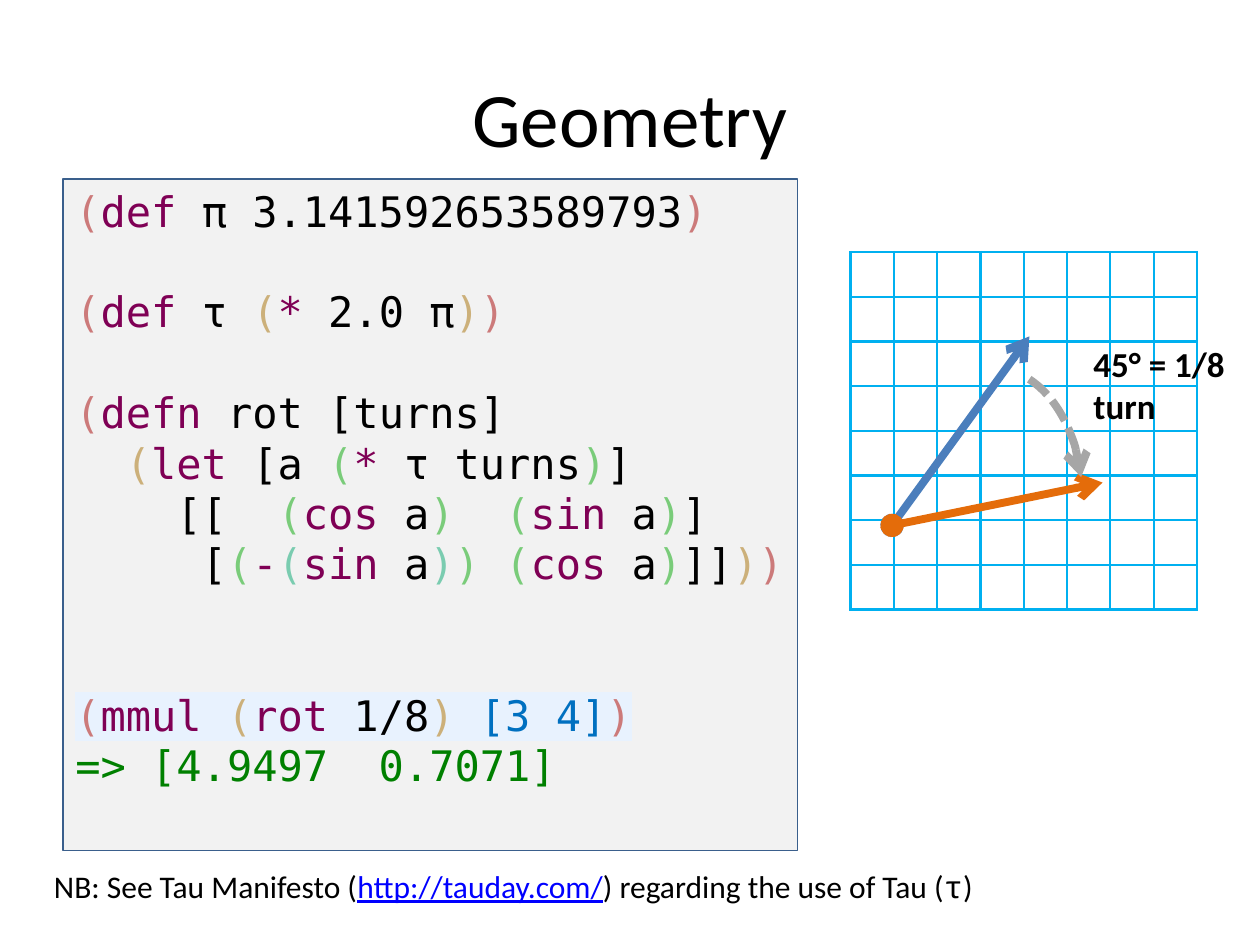
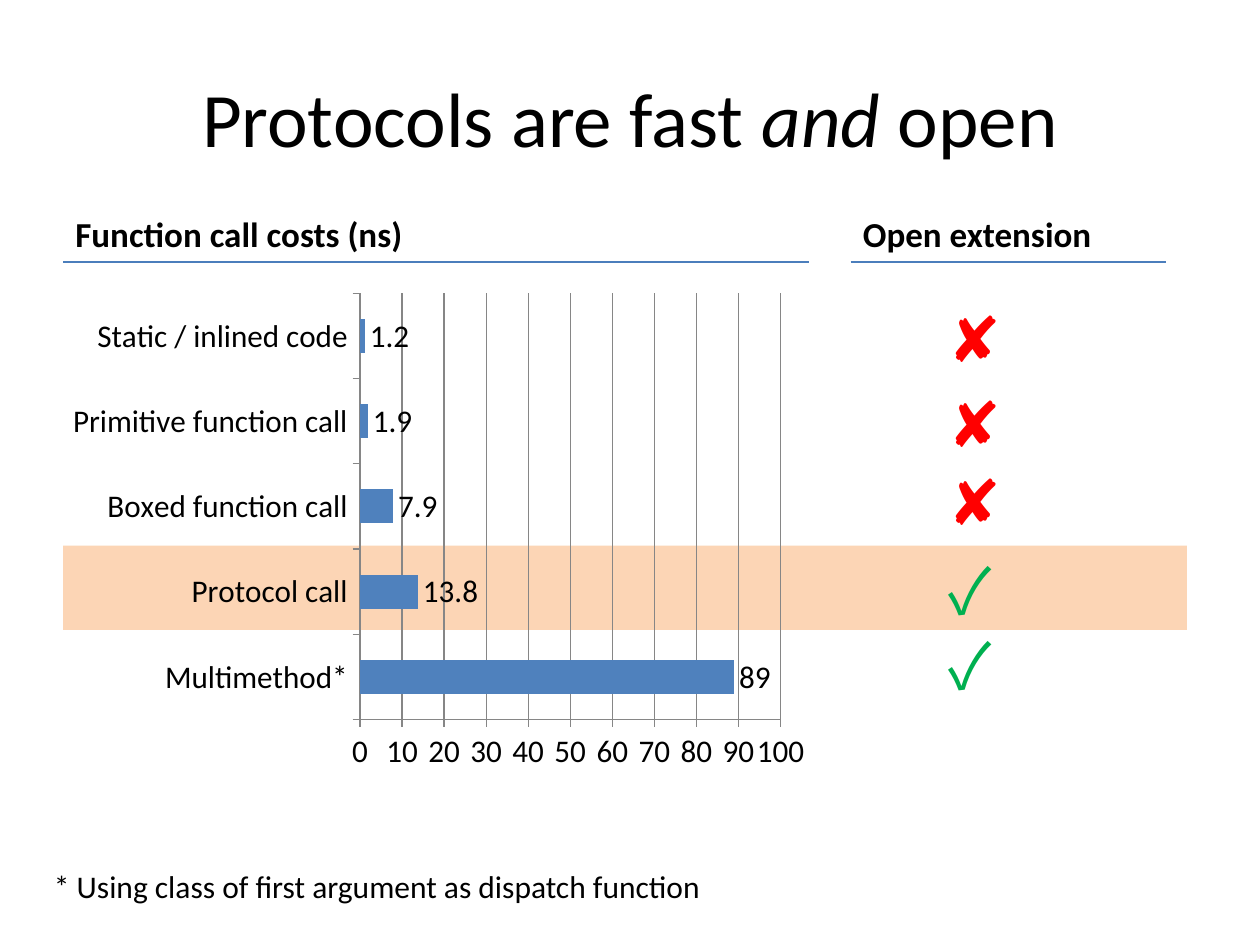
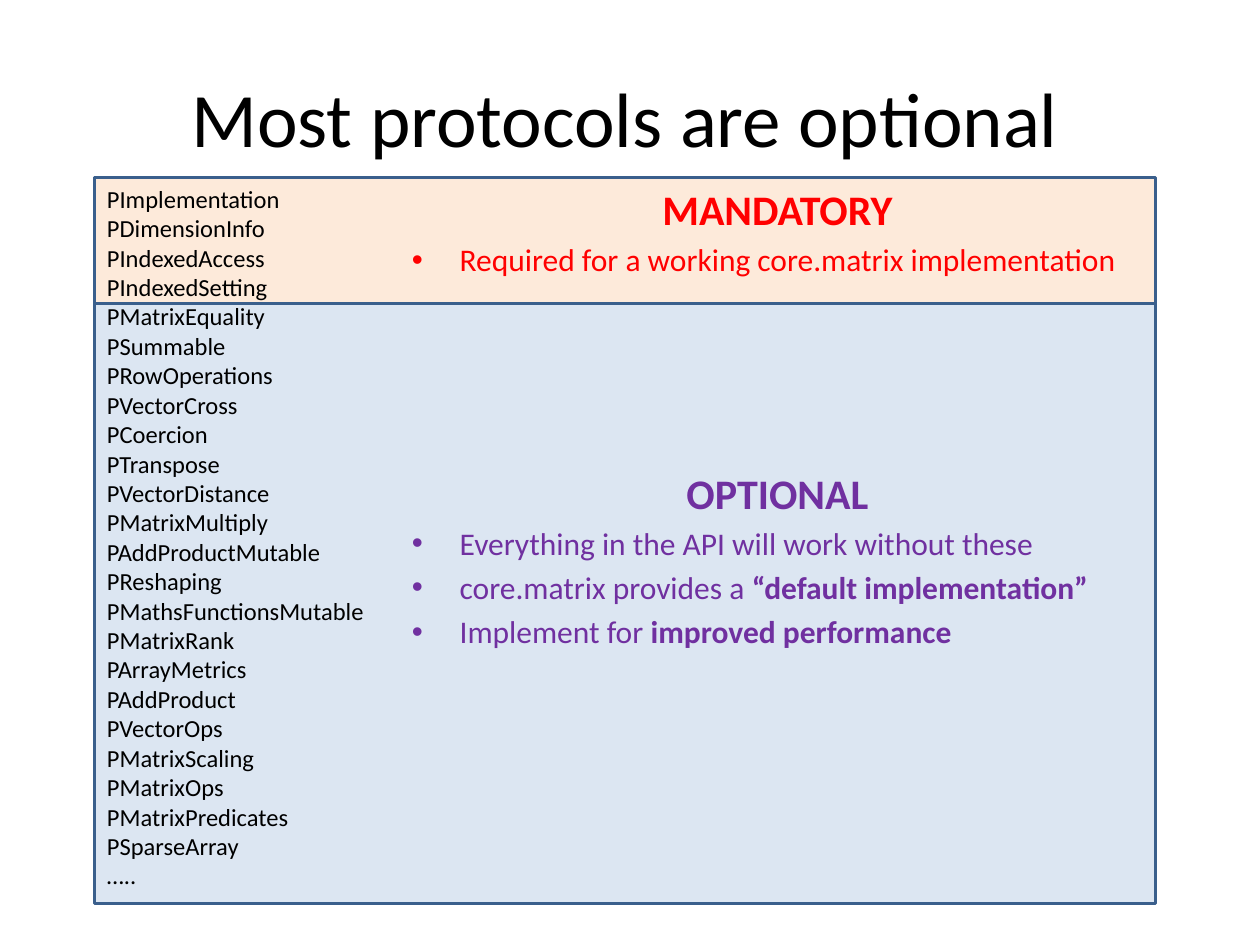
from dataclasses import dataclass
from itertools import groupby
from typing import Iterator, NamedTuple, Optional

from lxml.etree import SubElement
from pptx import Presentation
from pptx.chart.data import CategoryChartData
from pptx.dml.color import RGBColor
from pptx.enum.chart import XL_CHART_TYPE as ChartType, XL_LABEL_POSITION as LabelPosition
from pptx.enum.chart import XL_TICK_MARK as TickMark
from pptx.enum.dml import MSO_LINE as Dash
from pptx.enum.shapes import MSO_CONNECTOR as Connector, MSO_SHAPE as Preset
from pptx.enum.text import MSO_ANCHOR as Anchor, PP_ALIGN as Align
from pptx.oxml.ns import qn
from pptx.util import Inches, Pt


@dataclass(frozen=True)
class Theme:
    font: str = "Calibri"
    code_font: str = "DejaVu Sans Mono"
    mark_font: str = "Noto Sans CJK JP"
    text: str = "000000"
    white: str = "FFFFFF"
    outline: str = "3A5F8C"
    line: str = "4B7EBC"
    bar: str = "4F81BD"
    axis: str = "868686"
    grid: str = "00B0F0"
    turned: str = "E46C0A"
    arc: str = "A6A6A6"
    code_fill: str = "F2F2F2"
    keyword: str = "7F0055"
    vector: str = "0070C0"
    result: str = "008000"
    highlight: str = "E8F2FE"
    parens: tuple[str, ...] = ("CC7A7A", "CCB07A", "7ACC7A", "7ACCB0")
    link: str = "0000FF"
    band: str = "FCD5B5"
    yes: str = "00B050"
    no: str = "FF0000"
    mandatory: str = "FF0000"
    mandatory_fill: str = "FDEADA"
    optional: str = "7030A0"
    optional_fill: str = "DCE6F2"
    title_size: int = 44
    mark_size: int = 36
    heading_size: int = 24
    label_size: int = 20
    body_size: int = 18
    list_size: int = 14


THEME = Theme()


class Box(NamedTuple):
    left: float
    top: float
    width: float
    height: float

    def lengths(self) -> list[int]:
        return [Inches(value) for value in self]


class Point(NamedTuple):
    x: float
    y: float


@dataclass
class Run:
    text: str
    color: Optional[str] = None
    font: Optional[str] = None
    bold: Optional[bool] = None
    italic: Optional[bool] = None
    underline: Optional[bool] = None
    highlight: Optional[str] = None


@dataclass
class Line:
    runs: list[Run]
    size: float = THEME.body_size
    color: str = THEME.text
    font: str = THEME.font
    bold: bool = False
    align: Align = Align.LEFT
    bullet: bool = False
    space_before: float = 0


class CodeLine(NamedTuple):
    text: str
    blank_lines: int = 0
    called: bool = False


TITLE_BOX = Box(0.5, 0.3, 9, 1.25)

CODE = [
    CodeLine("(def π 3.141592653589793)"),
    CodeLine("(def τ (* 2.0 π))", 1),
    CodeLine("(defn rot [turns]", 1),
    CodeLine("  (let [a (* τ turns)]"),
    CodeLine("    [[  (cos a)  (sin a)]"),
    CodeLine("     [(-(sin a)) (cos a)]]))"),
    CodeLine("(mmul (rot 1/8) [3 4])", 2, True),
]

CALL_COSTS = {
    "Multimethod*": 89,
    "Protocol call": 13.8,
    "Boxed function call": 7.9,
    "Primitive function call": 1.9,
    "Static / inlined code": 1.2,
}

OPEN_MARKS = [(2.33, False), (3, False), (3.62, False), (4.33, True), (4.92, True)]

PROTOCOLS = """PImplementation PDimensionInfo PIndexedAccess PIndexedSetting PMatrixEquality
PSummable PRowOperations PVectorCross PCoercion PTranspose PVectorDistance PMatrixMultiply
PAddProductMutable PReshaping PMathsFunctionsMutable PMatrixRank PArrayMetrics PAddProduct
PVectorOps PMatrixScaling PMatrixOps PMatrixPredicates PSparseArray …..""".split()


def rgb(color: str) -> RGBColor:
    return RGBColor.from_string(color)


def add_run(paragraph, run: Run) -> None:
    text_run = paragraph.add_run()
    text_run.text = run.text
    font = text_run.font
    if run.color:
        font.color.rgb = rgb(run.color)
    if run.highlight:
        highlight = SubElement(font._element, qn("a:highlight"))
        SubElement(highlight, qn("a:srgbClr"), val=run.highlight)
    if run.font:
        font.name = run.font
    for name in ("bold", "italic", "underline"):
        value = getattr(run, name)
        if value is not None:
            setattr(font, name, value)


def write(frame, lines: list[Line], anchor: Anchor = Anchor.TOP) -> None:
    frame.word_wrap = True
    frame.vertical_anchor = anchor
    for index, line in enumerate(lines):
        paragraph = frame.add_paragraph() if index else frame.paragraphs[0]
        paragraph.alignment = line.align
        if line.space_before:
            paragraph.space_before = Pt(line.space_before)
        if line.bullet:
            properties = paragraph._p.get_or_add_pPr()
            properties.set("marL", str(Inches(0.38)))
            properties.set("indent", str(Inches(-0.38)))
            SubElement(properties, qn("a:buFont"), typeface="Arial")
            SubElement(properties, qn("a:buChar"), char="•")
        paragraph.font.size = Pt(line.size)
        paragraph.font.name = line.font
        paragraph.font.bold = line.bold
        paragraph.font.color.rgb = rgb(line.color)
        for run in line.runs:
            add_run(paragraph, run)


def add_text(slide, box: Box, lines: list[Line], anchor: Anchor = Anchor.TOP) -> None:
    write(slide.shapes.add_textbox(*box.lengths()).text_frame, lines, anchor)


def add_title(slide, runs: list[Run], box: Box = TITLE_BOX) -> None:
    add_text(slide, box, [Line(runs, THEME.title_size, align=Align.CENTER)], Anchor.MIDDLE)


def add_footnote(slide, runs: list[Run]) -> None:
    add_text(slide, Box(0.33, 6.83, 9.25, 0.4), [Line(runs)])


def add_label(slide, box: Box, text: str) -> None:
    add_text(slide, box, [Line([Run(text)], THEME.label_size, bold=True)])


def add_panel(slide, box: Box, fill: str, line_width: float = 0):
    shape = slide.shapes.add_shape(Preset.RECTANGLE, *box.lengths())
    shape.shadow.inherit = False
    shape.fill.solid()
    shape.fill.fore_color.rgb = rgb(fill)
    if line_width:
        shape.line.color.rgb = rgb(THEME.outline)
        shape.line.width = Pt(line_width)
    else:
        shape.line.fill.background()
    return shape


def style_line(shape, color: str, width: float, head: str = "", tail: str = "") -> None:
    shape.line.color.rgb = rgb(color)
    shape.line.width = Pt(width)
    outline = shape.line._get_or_add_ln()
    for tag, kind in (("a:headEnd", head), ("a:tailEnd", tail)):
        if kind:
            SubElement(outline, qn(tag), type=kind)


def add_line(slide, start: Point, end: Point, color: str, width: float,
             head: str = "", tail: str = "") -> None:
    ends = [Inches(value) for value in (*start, *end)]
    connector = slide.shapes.add_connector(Connector.STRAIGHT, *ends)
    style_line(connector, color, width, head, tail)
    SubElement(connector._element.spPr, qn("a:effectLst"))


def add_turn_arc(slide, box: Box) -> None:
    arc = slide.shapes.add_shape(Preset.ARC, *box.lengths())
    arc.shadow.inherit = False
    arc.adjustments[0] = 172.13
    arc.adjustments[1] = 207.65
    arc.fill.background()
    arc.line.dash_style = Dash.SQUARE_DOT
    style_line(arc, THEME.arc, 4.5, tail="arrow")


def add_grid(slide, box: Box, count: int) -> None:
    table = slide.shapes.add_table(count, count, *box.lengths()).table
    table.first_row = table.horz_banding = False
    for column in table.columns:
        column.width = Inches(box.width / count)
    for row in table.rows:
        row.height = Inches(box.height / count)
    for cell in table.iter_cells():
        cell.margin_top = cell.margin_bottom = 0
        properties = cell._tc.get_or_add_tcPr()
        for side in "LRTB":
            border = SubElement(properties, qn(f"a:ln{side}"), w=str(Pt(1.5)))
            fill = SubElement(border, qn("a:solidFill"))
            SubElement(fill, qn("a:srgbClr"), val=THEME.grid)
        cell.fill.solid()
        cell.fill.fore_color.rgb = rgb(THEME.white)


def color_characters(text: str, depth: int, vector_color: str) -> Iterator[tuple[str, str]]:
    in_head = False
    brackets = 0
    for character in text:
        if character == "(":
            yield character, THEME.parens[depth]
            depth += 1
            in_head = True
            continue
        if character == ")":
            depth -= 1
            yield character, THEME.parens[depth]
            in_head = False
            continue
        in_head = in_head and character != " "
        brackets += character == "["
        plain = vector_color if brackets else THEME.text
        brackets -= character == "]"
        yield character, THEME.keyword if in_head else plain


def code_lines() -> list[Line]:
    lines = []
    depth = 0
    for code in CODE:
        vector_color = THEME.vector if code.called else THEME.text
        highlight = THEME.highlight if code.called else None
        colored = color_characters(code.text, depth, vector_color)
        runs = [Run("".join(character for character, _ in group), color, highlight=highlight)
                for color, group in groupby(colored, key=lambda pair: pair[1])]
        depth += code.text.count("(") - code.text.count(")")
        lines.append(Line(runs, THEME.heading_size, font=THEME.code_font,
                          space_before=code.blank_lines * THEME.heading_size * 1.2))
    lines.append(Line([Run("=> [4.9497  0.7071]")], THEME.heading_size, THEME.result,
                      THEME.code_font))
    return lines


def add_cost_chart(slide, box: Box) -> None:
    data = CategoryChartData()
    data.categories = list(CALL_COSTS)
    data.add_series("Series 1", list(CALL_COSTS.values()))
    chart = slide.shapes.add_chart(ChartType.BAR_CLUSTERED, *box.lengths(), data).chart
    chart.has_legend = chart.has_title = False
    chart.font.size = Pt(THEME.body_size)
    chart.font.name = THEME.font
    chart.font.color.rgb = rgb(THEME.text)

    plot = chart.plots[0]
    plot.gap_width = 150
    plot.vary_by_categories = False
    plot.has_data_labels = True
    plot.data_labels.show_value = True
    plot.data_labels.position = LabelPosition.OUTSIDE_END
    bars = plot.series[0].format.fill
    bars.solid()
    bars.fore_color.rgb = rgb(THEME.bar)

    values = chart.value_axis
    values.minimum_scale, values.maximum_scale, values.major_unit = 0, 100, 10
    values.has_major_gridlines = True
    chart.category_axis.has_major_gridlines = False
    for axis in (values, chart.category_axis):
        axis.major_tick_mark = TickMark.OUTSIDE
        axis.minor_tick_mark = TickMark.NONE
    for item in (values, chart.category_axis, values.major_gridlines):
        item.format.line.color.rgb = rgb(THEME.axis)
        item.format.line.width = Pt(0.75)

    space = chart.element
    space_fill = SubElement(space, qn("c:spPr"))
    space.find(qn("c:txPr")).addprevious(space_fill)
    plot_fill = SubElement(space.find(qn("c:chart")).find(qn("c:plotArea")), qn("c:spPr"))
    for properties in (space_fill, plot_fill):
        SubElement(properties, qn("a:noFill"))
        SubElement(SubElement(properties, qn("a:ln")), qn("a:noFill"))


def add_explanation(slide, box: Box, heading: str, color: str, points: list[list[Run]]) -> None:
    lines = [Line([Run(heading)], THEME.heading_size, color, bold=True, align=Align.CENTER)]
    lines += [Line(runs, color=color, bullet=True, space_before=THEME.body_size * 0.2)
              for runs in points]
    add_text(slide, box, lines)


def build_geometry(slide) -> None:
    add_title(slide, [Run("Geometry")])
    add_grid(slide, Box(6.75, 2, 2.75, 2.84), 8)
    origin = Point(7.08, 4.17)
    for tip, color in ((Point(8.17, 2.67), THEME.line), (Point(8.75, 3.83), THEME.turned)):
        add_line(slide, origin, tip, color, 4.5, "oval", "arrow")
    add_turn_arc(slide, Box(7.17, 2.92, 1.42, 2.08))
    code_panel = add_panel(slide, Box(0.5, 1.42, 5.83, 5.33), THEME.code_fill, 1)
    write(code_panel.text_frame, code_lines())
    add_footnote(slide, [
        Run("NB: See Tau Manifesto ("),
        Run("http://tauday.com/", THEME.link, underline=True),
        Run(") regarding the use of Tau ("),
        Run("τ", font="Courier New"),
        Run(")"),
    ])
    add_label(slide, Box(8.58, 2.67, 1.25, 0.77), "45° = 1/8 turn")


def build_costs(slide) -> None:
    add_panel(slide, Box(0.5, 4.33, 8.92, 0.67), THEME.band)
    add_title(slide, [Run("Protocols are fast "), Run("and", italic=True), Run(" open")])
    add_cost_chart(slide, Box(0.58, 2.25, 5.92, 3.94))
    for left, width, heading in ((0.5, 5.92, "Function call costs (ns)"),
                                 (6.75, 2.5, "Open extension")):
        add_label(slide, Box(left, 1.64, width, 0.44), heading)
        add_line(slide, Point(left, 2.08), Point(left + width, 2.08), THEME.line, 0.75)
    for top, is_open in OPEN_MARKS:
        mark, color = ("✓", THEME.yes) if is_open else ("✘", THEME.no)
        add_text(slide, Box(7.43, top, 0.62, 0.71),
                 [Line([Run(mark)], THEME.mark_size, color, THEME.mark_font)])
    add_footnote(slide, [Run("* Using class of first argument as dispatch function")])


def build_protocols(slide) -> None:
    add_panel(slide, Box(0.75, 2.41, 8.42, 4.76), THEME.optional_fill, 2)
    add_panel(slide, Box(0.75, 1.41, 8.42, 1), THEME.mandatory_fill, 2)
    add_title(slide, [Run("Most protocols are optional")], Box(0.25, 0.3, 9.42, 1.25))
    add_text(slide, Box(0.75, 1.41, 2.75, 5.76),
             [Line([Run(name)], THEME.list_size) for name in PROTOCOLS])
    add_explanation(slide, Box(3.17, 1.41, 6, 1), "MANDATORY", THEME.mandatory, [
        [Run("Required for a working core.matrix implementation")],
    ])
    add_explanation(slide, Box(3.17, 3.66, 6, 2.83), "OPTIONAL", THEME.optional, [
        [Run("Everything in the API will work without these")],
        [Run("core.matrix provides a "), Run("“default implementation”", bold=True)],
        [Run("Implement for "), Run("improved performance", bold=True)],
    ])


def main() -> None:
    presentation = Presentation()
    presentation.slide_width = Inches(10)
    presentation.slide_height = Inches(7.5)
    for build in (build_geometry, build_costs, build_protocols):
        build(presentation.slides.add_slide(presentation.slide_layouts[6]))
    presentation.save("out.pptx")


if __name__ == "__main__":
    main()
